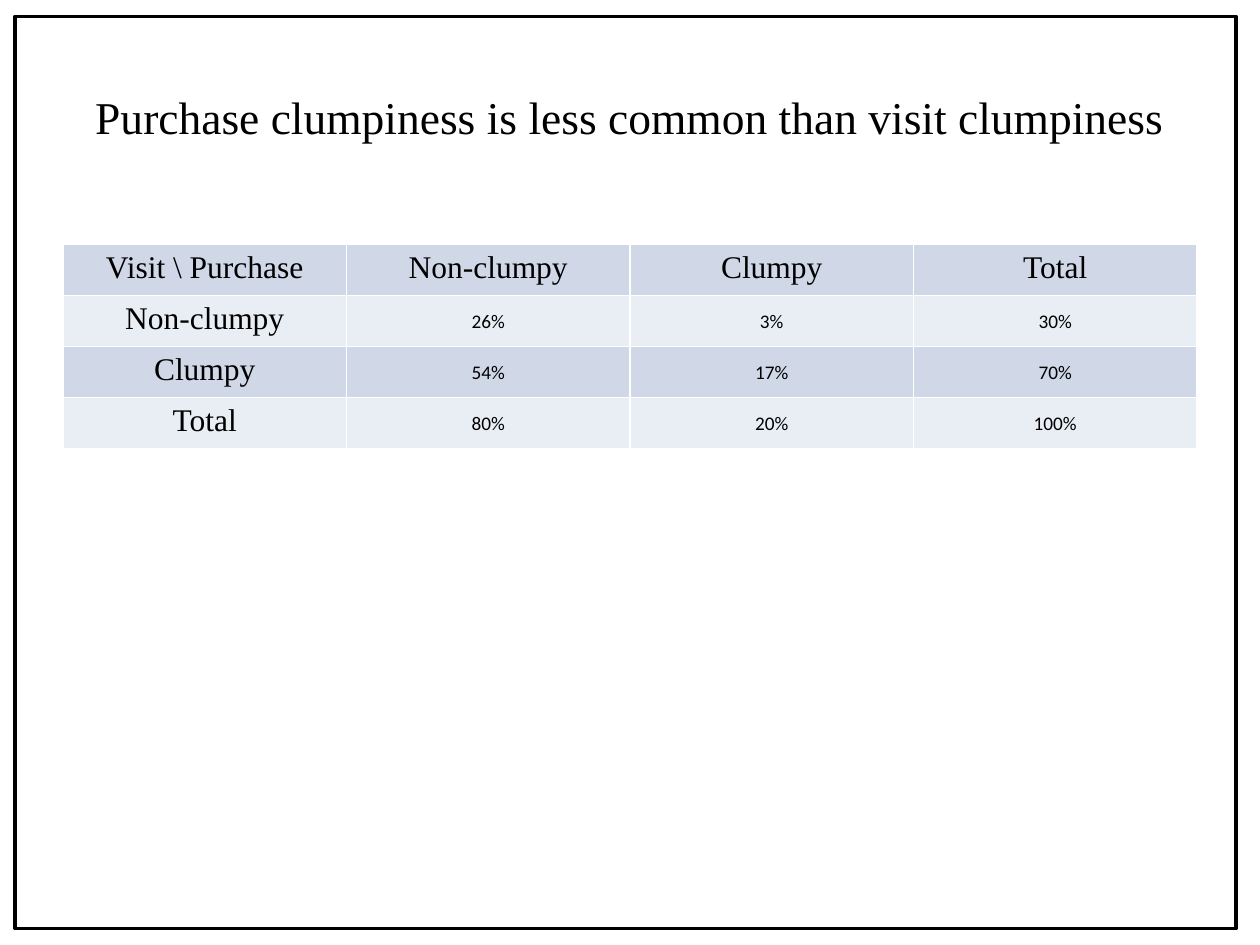
from dataclasses import dataclass

from lxml.etree import SubElement
from pptx import Presentation
from pptx.dml.color import RGBColor
from pptx.enum.shapes import MSO_SHAPE
from pptx.enum.text import MSO_ANCHOR, PP_ALIGN
from pptx.oxml.ns import qn
from pptx.util import Inches, Pt

TITLE = "Purchase clumpiness is less common than visit clumpiness"
ROWS = [
    ["Visit \\ Purchase", "Non-clumpy", "Clumpy", "Total"],
    ["Non-clumpy", "26%", "3%", "30%"],
    ["Clumpy", "54%", "17%", "70%"],
    ["Total", "80%", "20%", "100%"],
]


@dataclass(frozen=True)
class Theme:
    ink: str = "000000"
    cell_border: str = "FFFFFF"
    bands: tuple = ("D0D8E8", "E9EDF4")
    title: tuple = ("Times New Roman", 26)
    label: tuple = ("Times New Roman", 18)
    value: tuple = ("Calibri", 11)


THEME = Theme()
FRAME_BOX = [Inches(n) for n in (0.12, 0.13, 9.69, 7.24)]
TITLE_BOX = [Inches(n) for n in (0.5, 0.3, 9, 1.25)]
TABLE_LEFT, TABLE_TOP, TABLE_WIDTH = Inches(0.5), Inches(1.94), Inches(9)
ROW_HEIGHT = Inches(0.405)
VALUE_FORMAT = {
    "vertical_anchor": MSO_ANCHOR.MIDDLE,
    "margin_left": Inches(0.01),
    "margin_right": Inches(0.01),
    "margin_top": Inches(0.01),
    "margin_bottom": 0,
}


def apply_format(target, values):
    for name, value in values.items():
        setattr(target, name, value)


def write_centred(text_frame, text, style):
    paragraph = text_frame.paragraphs[0]
    paragraph.alignment = PP_ALIGN.CENTER
    run = paragraph.add_run()
    run.text = text
    font_name, size = style
    apply_format(run.font, {"name": font_name, "size": Pt(size)})
    run.font.color.rgb = RGBColor.from_string(THEME.ink)


def add_borders(cell):
    """Line all four sides; the side elements must precede the cell's fill."""
    properties = cell._tc.get_or_add_tcPr()
    for position, side in enumerate(("a:lnL", "a:lnR", "a:lnT", "a:lnB")):
        line = SubElement(properties, qn(side), w=str(Pt(1)))
        fill = SubElement(line, qn("a:solidFill"))
        SubElement(fill, qn("a:srgbClr"), val=THEME.cell_border)
        properties.insert(position, line)


def add_frame(slide):
    frame = slide.shapes.add_shape(MSO_SHAPE.RECTANGLE, *FRAME_BOX)
    frame.shadow.inherit = False
    frame.fill.background()
    frame.line.color.rgb = RGBColor.from_string(THEME.ink)
    frame.line.width = Pt(2)


def add_title(slide):
    text_frame = slide.shapes.add_textbox(*TITLE_BOX).text_frame
    apply_format(text_frame, {"word_wrap": True, "vertical_anchor": MSO_ANCHOR.MIDDLE})
    write_centred(text_frame, TITLE, THEME.title)


def add_clumpiness_table(slide):
    table = slide.shapes.add_table(
        len(ROWS), len(ROWS[0]), TABLE_LEFT, TABLE_TOP,
        TABLE_WIDTH, ROW_HEIGHT * len(ROWS),
    ).table
    for row_index, row in enumerate(ROWS):
        band = THEME.bands[row_index % len(THEME.bands)]
        for column_index, text in enumerate(row):
            cell = table.cell(row_index, column_index)
            is_value = row_index > 0 and column_index > 0
            if is_value:
                apply_format(cell, VALUE_FORMAT)
            cell.fill.solid()
            cell.fill.fore_color.rgb = RGBColor.from_string(band)
            add_borders(cell)
            write_centred(cell.text_frame, text, THEME.value if is_value else THEME.label)
    apply_format(table, {"first_row": False, "horz_banding": False})


def main():
    presentation = Presentation()
    apply_format(presentation, {"slide_width": Inches(10), "slide_height": Inches(7.5)})
    slide = presentation.slides.add_slide(presentation.slide_layouts[6])
    add_frame(slide)
    add_title(slide)
    add_clumpiness_table(slide)
    presentation.save("out.pptx")


if __name__ == "__main__":
    main()
